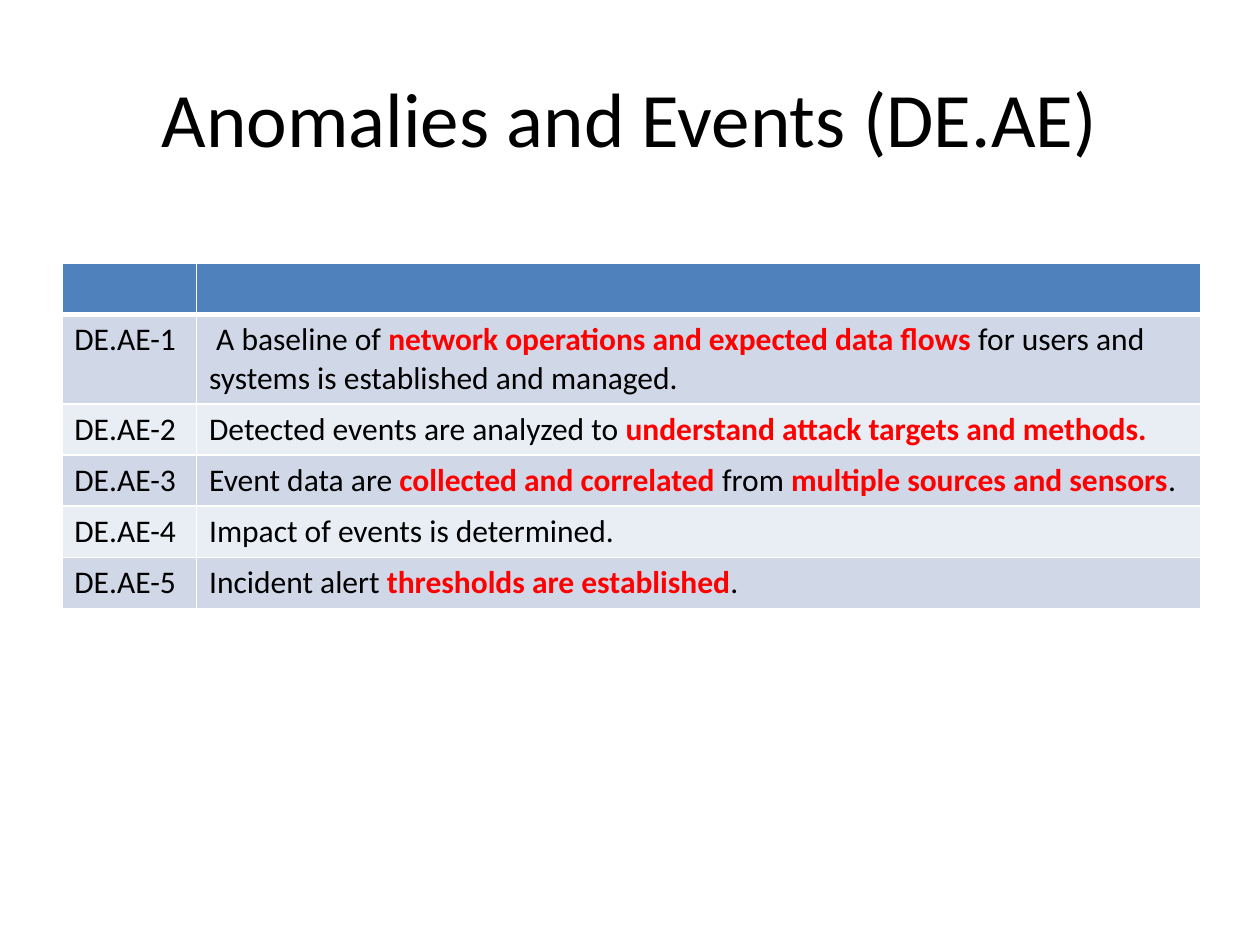
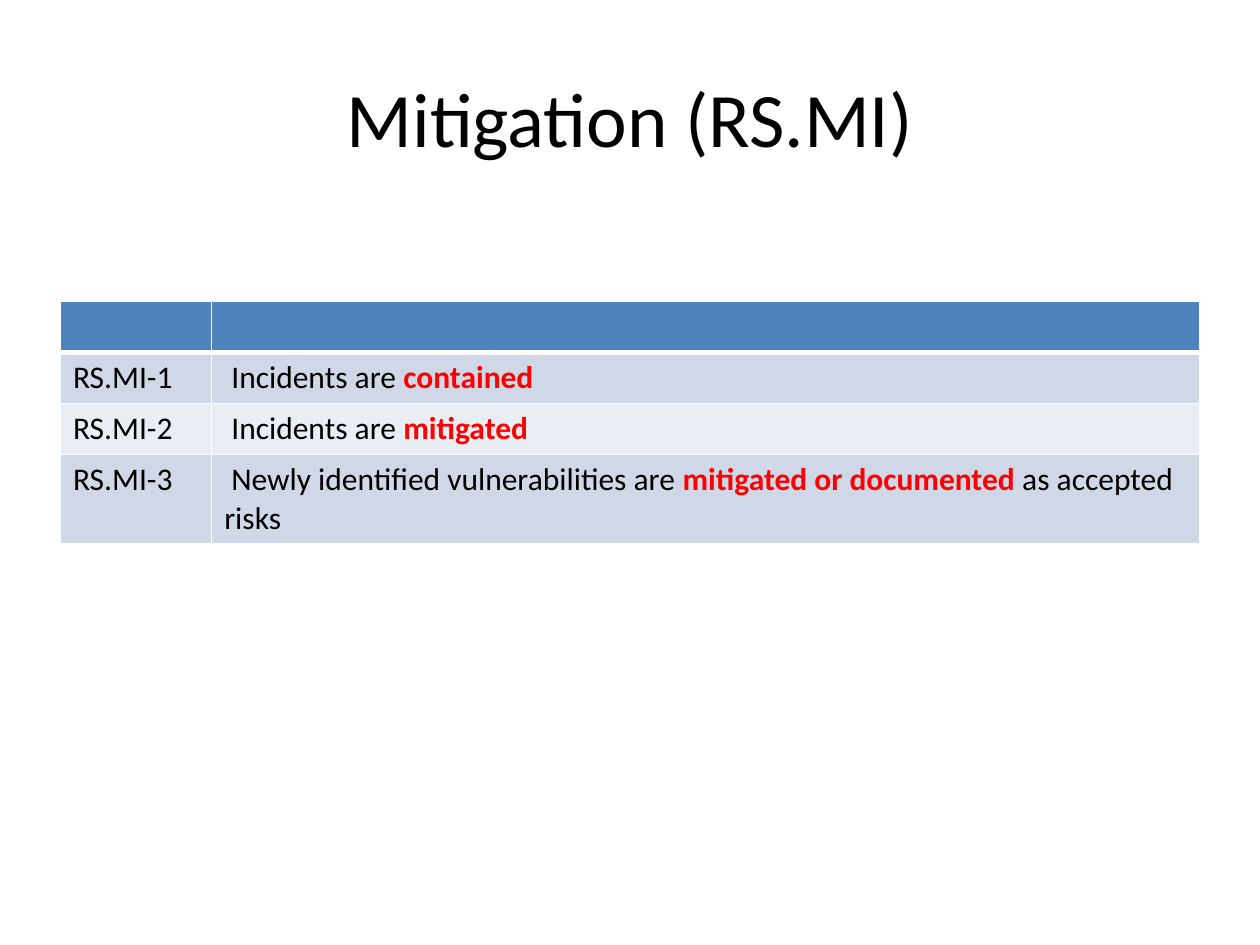
from dataclasses import dataclass

from lxml.etree import SubElement
from pptx import Presentation
from pptx.dml.color import RGBColor
from pptx.enum.text import MSO_ANCHOR, PP_ALIGN
from pptx.oxml.ns import qn
from pptx.presentation import Presentation as Deck
from pptx.slide import Slide
from pptx.table import _Cell
from pptx.util import Inches, Pt

FONT = "Calibri"
BLACK = RGBColor(0x00, 0x00, 0x00)
WHITE = RGBColor(0xFF, 0xFF, 0xFF)
RED = RGBColor(0xFF, 0x00, 0x00)
BLUE = RGBColor(0x4F, 0x81, 0xBD)
BANDS = (RGBColor(0xE9, 0xED, 0xF4), RGBColor(0xD0, 0xD8, 0xE8))
ROW = 0.4
TALL = 0.71
WIDTH = 9.04


@dataclass
class Control:
    """One table row; words between asterisks are stressed."""
    code: str
    text: str
    height: float = ROW


@dataclass
class Topic:
    title: str
    left: float
    top: float
    code_width: float
    controls: list[Control]


TOPICS = [
    Topic("Anomalies and Events (DE.AE)", 0.49, 2.09, 1.07, [
        Control("DE.AE-1", " A baseline of *network operations and expected data flows *"
                "for users and systems is established and managed.", TALL),
        Control("DE.AE-2", "Detected events are analyzed to "
                "*understand attack targets and methods.*"),
        Control("DE.AE-3", "Event data are *collected and correlated *from "
                "*multiple sources and sensors*."),
        Control("DE.AE-4", "Impact of events is determined."),
        Control("DE.AE-5", "Incident alert *thresholds are established*."),
    ]),
    Topic("Mitigation (RS.MI)", 0.48, 2.39, 1.2, [
        Control("RS.MI-1", " Incidents are *contained*"),
        Control("RS.MI-2", " Incidents are *mitigated*"),
        Control("RS.MI-3", " Newly identified vulnerabilities are "
                "*mitigated or documented *as accepted risks", TALL),
    ]),
]


def add_title(slide: Slide, text: str) -> None:
    title = slide.shapes.title
    title.left, title.top = Inches(0.5), Inches(0.3)
    title.width, title.height = Inches(9), Inches(1.25)
    frame = title.text_frame
    frame.text = text
    frame.vertical_anchor = MSO_ANCHOR.MIDDLE
    line = frame.paragraphs[0]
    line.alignment = PP_ALIGN.CENTER
    line.font.name, line.font.size = FONT, Pt(44)
    line.font.color.rgb = BLACK


def set_edges(cell: _Cell, row: int) -> None:
    """Draw white edges, thick between the header and the body."""
    widths = {"L": 1, "R": 1, "T": 3 if row == 1 else 1, "B": 3 if row == 0 else 1}
    props = cell._tc.get_or_add_tcPr()
    for side, width in widths.items():
        edge = SubElement(props, qn(f"a:ln{side}"), w=str(Pt(width)))
        fill = SubElement(edge, qn("a:solidFill"))
        SubElement(fill, qn("a:srgbClr"), val=str(WHITE))


def fill_cell(cell: _Cell, row: int, text: str) -> None:
    set_edges(cell, row)
    cell.fill.solid()
    cell.fill.fore_color.rgb = BANDS[row % 2] if row else BLUE
    line = cell.text_frame.paragraphs[0]
    line.font.name, line.font.size = FONT, Pt(18)
    for index, part in enumerate(text.split("*")):
        if part:
            run = line.add_run()
            run.text = part
            stress = index % 2 == 1
            run.font.bold = stress
            run.font.color.rgb = RED if stress else BLACK


def add_controls(slide: Slide, topic: Topic) -> None:
    rows = [Control("", "")] + topic.controls
    total = sum(item.height for item in rows)
    table = slide.shapes.add_table(
        len(rows), 2, Inches(topic.left), Inches(topic.top),
        Inches(WIDTH), Inches(total)).table
    table.columns[0].width = Inches(topic.code_width)
    table.columns[1].width = Inches(WIDTH - topic.code_width)
    for row, item in enumerate(rows):
        table.rows[row].height = Inches(item.height)
        for col, text in enumerate((item.code, item.text)):
            fill_cell(table.cell(row, col), row, text)


def add_topic(deck: Deck, topic: Topic) -> None:
    slide = deck.slides.add_slide(deck.slide_layouts.get_by_name("Title Only"))
    add_title(slide, topic.title)
    add_controls(slide, topic)


def main() -> None:
    deck = Presentation()
    deck.slide_width, deck.slide_height = Inches(10), Inches(7.5)
    for topic in TOPICS:
        add_topic(deck, topic)
    deck.save("out.pptx")


if __name__ == "__main__":
    main()
